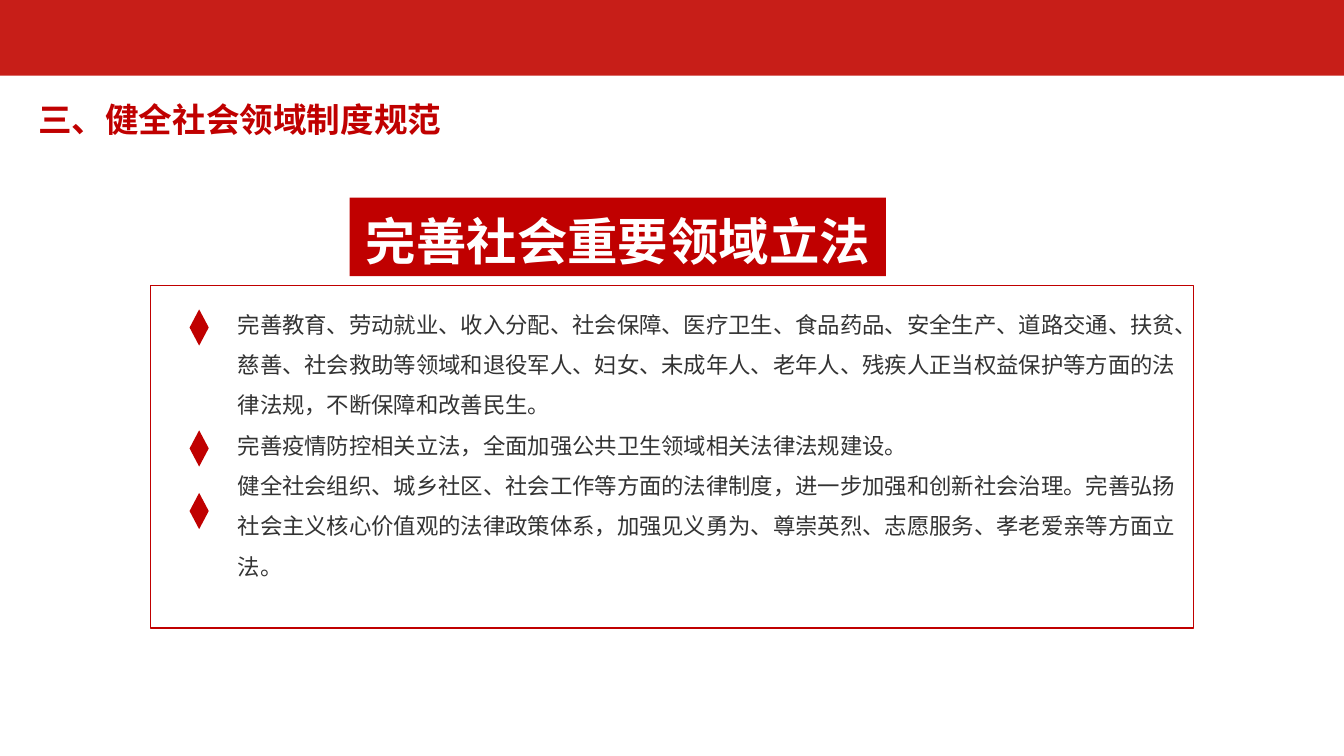
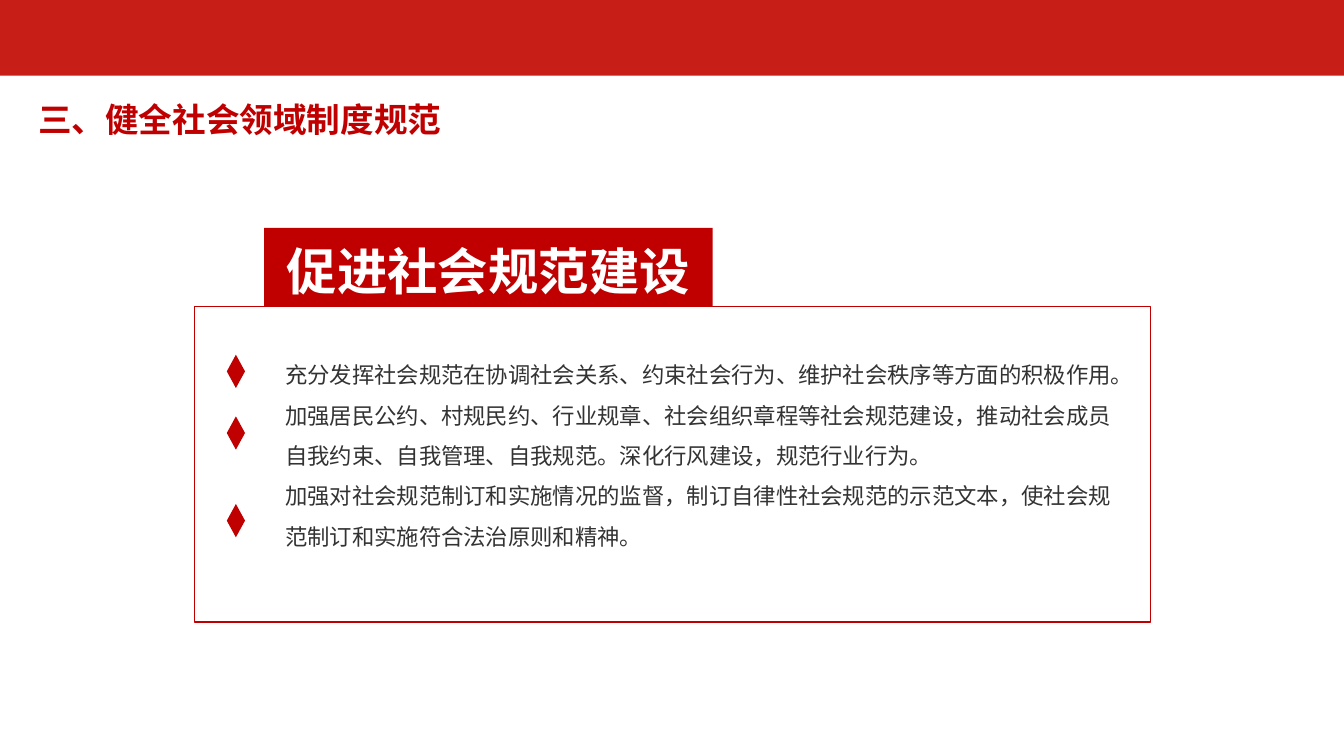
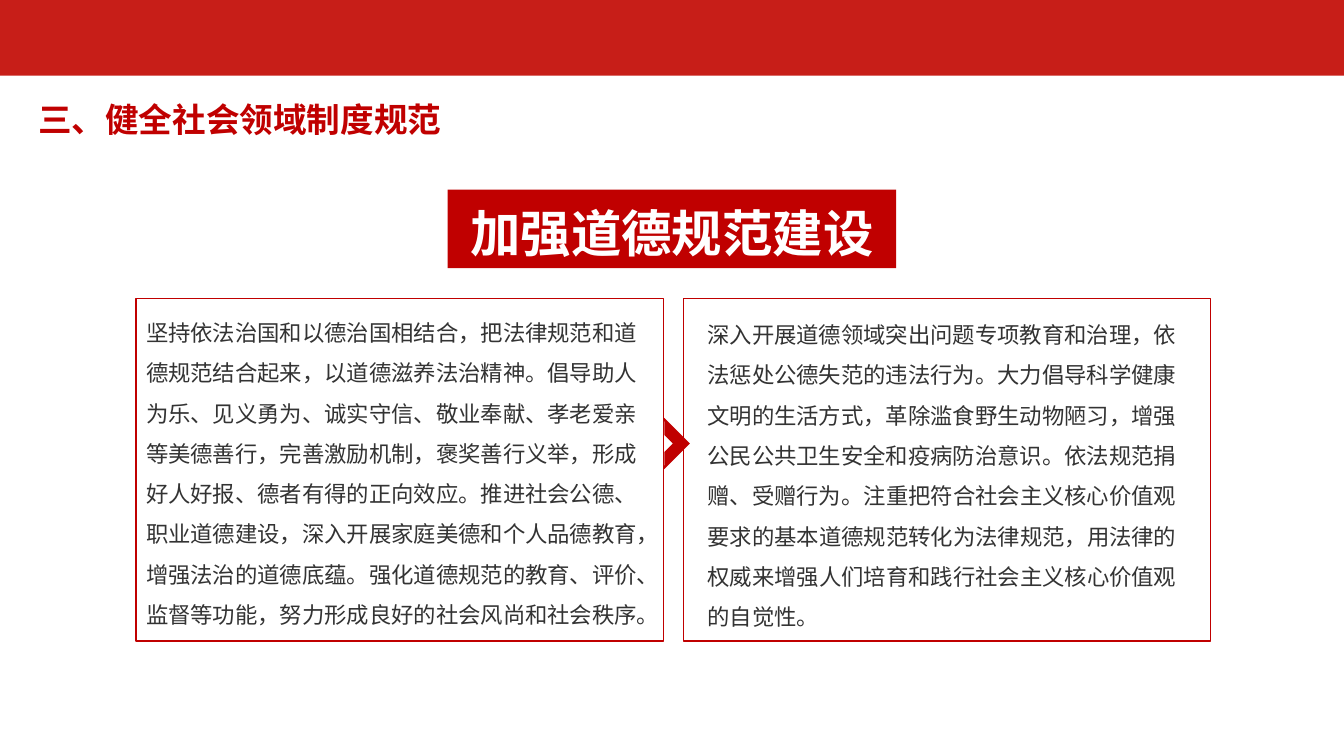
import pptx
import pptx.util
import pptx.dml.color
import pptx.enum.shapes
import pptx.enum.text
import pptx.oxml.ns
import lxml.etree

Pt = pptx.util.Pt
SHAPES = pptx.enum.shapes.MSO_SHAPE
ALIGN = pptx.enum.text.PP_ALIGN
ANCHOR = pptx.enum.text.MSO_ANCHOR
FONT = "Noto Sans CJK SC"
COLORS = {"band": "C71E18", "accent": "C00000", "text": "333333", "white": "FFFFFF"}
SECTION = "三、健全社会领域制度规范"
BANNER_HEIGHT = 56.2

# Positions are (left, top, width, height) in points
slides = [
    {
        "banner": ("完善社会重要领域立法", 249.8, 141.1, 383),
        "frames": [(107.3, 203.8, 745.2, 244.8)],
        "diamonds": (135.4, 13.7, 25.9, [221, 307.4, 352.1]),
        "bodies": [((162.7, 209, 690.5, 230), [
            "完善教育、劳动就业、收入分配、社会保障、医疗卫生、食品药品、安全生产、道路交通、扶贫、慈善、社会救助等领域和退役军人、妇女、未成年人、老年人、残疾人正当权益保护等方面的法律法规，不断保障和改善民生。",
            "完善疫情防控相关立法，全面加强公共卫生领域相关法律法规建设。",
            "健全社会组织、城乡社区、社会工作等方面的法律制度，进一步加强和创新社会治理。完善弘扬社会主义核心价值观的法律政策体系，加强见义勇为、尊崇英烈、志愿服务、孝老爱亲等方面立法。",
        ])],
    },
    {
        "banner": ("促进社会规范建设", 188.6, 162.7, 320.4),
        "frames": [(139, 218.9, 682.6, 225.4)],
        "diamonds": (162, 13, 23.8, [253.4, 297.4, 360]),
        "bodies": [((196.6, 245, 619.2, 190), [
            "充分发挥社会规范在协调社会关系、约束社会行为、维护社会秩序等方面的积极作用。",
            "加强居民公约、村规民约、行业规章、社会组织章程等社会规范建设，推动社会成员自我约束、自我管理、自我规范。深化行风建设，规范行业行为。",
            "加强对社会规范制订和实施情况的监督，制订自律性社会规范的示范文本，使社会规范制订和实施符合法治原则和精神。",
        ])],
    },
    {
        "banner": ("加强道德规范建设", 319.7, 135.4, 320.4),
        "frames": [(97.2, 213.1, 376.6, 244.8), (488.2, 213.1, 376.6, 244.8)],
        "arrow": (461.5, 303.8, 25.9, 25.9),
        "bodies": [
            ((97.2, 214.7, 380.9, 240), [
                "坚持依法治国和以德治国相结合，把法律规范和道德规范结合起来，以道德滋养法治精神。倡导助人为乐、见义勇为、诚实守信、敬业奉献、孝老爱亲等美德善行，完善激励机制，褒奖善行义举，形成好人好报、德者有得的正向效应。推进社会公德、职业道德建设，深入开展家庭美德和个人品德教育，增强法治的道德底蕴。强化道德规范的教育、评价、监督等功能，努力形成良好的社会风尚和社会秩序。",
            ]),
            ((498.2, 216.2, 354.2, 240), [
                "深入开展道德领域突出问题专项教育和治理，依法惩处公德失范的违法行为。大力倡导科学健康文明的生活方式，革除滥食野生动物陋习，增强公民公共卫生安全和疫病防治意识。依法规范捐赠、受赠行为。注重把符合社会主义核心价值观要求的基本道德规范转化为法律规范，用法律的权威来增强人们培育和践行社会主义核心价值观的自觉性。",
            ]),
        ],
    },
]


def add_block(slide, kind, position, fill=None, line=None):
    shape = slide.shapes.add_shape(kind, *[Pt(value) for value in position])
    shape.shadow.inherit = False
    if fill:
        shape.fill.solid()
        shape.fill.fore_color.rgb = pptx.dml.color.RGBColor.from_string(COLORS[fill])
    else:
        shape.fill.background()
    if line:
        shape.line.color.rgb = pptx.dml.color.RGBColor.from_string(COLORS[line])
        shape.line.width = Pt(1)
    else:
        shape.line.fill.background()
    return shape


def write_text(shape, texts, size, color, spacing, bold=False, align=ALIGN.LEFT, wrap=True):
    frame = shape.text_frame
    frame.word_wrap = wrap
    for index, text in enumerate(texts):
        paragraph = frame.paragraphs[0] if index == 0 else frame.add_paragraph()
        paragraph.alignment = align
        paragraph.line_spacing = Pt(spacing)
        paragraph._p.get_or_add_pPr().set("hangingPunct", "1")
        run = paragraph.add_run()
        run.text = text
        run.font.size = Pt(size)
        run.font.bold = bold
        run.font.color.rgb = pptx.dml.color.RGBColor.from_string(COLORS[color])
        run.font.name = FONT
        # East Asian typeface follows the Latin one
        properties = run._r.get_or_add_rPr()
        properties.set("lang", "zh-CN")
        latin = properties.find(pptx.oxml.ns.qn("a:latin"))
        east_asian = lxml.etree.Element(pptx.oxml.ns.qn("a:ea"), typeface=FONT)
        latin.addnext(east_asian)


presentation = pptx.Presentation()
presentation.slide_width = Pt(960)
presentation.slide_height = Pt(540)

for content in slides:
    slide = presentation.slides.add_slide(presentation.slide_layouts[6])

    # Top band and section title
    add_block(slide, SHAPES.RECTANGLE, (0, 0, 960, 54), fill="band")
    title = slide.shapes.add_textbox(Pt(20.2), Pt(61.5), Pt(305.3), Pt(40.3))
    write_text(title, [SECTION], 24, "accent", 34.6, bold=True, wrap=False)

    # Body text
    for position, texts in content["bodies"]:
        body = slide.shapes.add_textbox(*[Pt(value) for value in position])
        write_text(body, texts, 16, "text", 28.8)

    # Banner heading
    heading, left, top, width = content["banner"]
    banner = add_block(slide, SHAPES.RECTANGLE, (left, top, width, BANNER_HEIGHT), fill="accent")
    banner.text_frame.vertical_anchor = ANCHOR.MIDDLE
    banner.text_frame.margin_top = Pt(5)
    banner.text_frame.margin_bottom = Pt(0)
    write_text(banner, [heading], 36, "white", 43.2, bold=True, align=ALIGN.CENTER, wrap=False)

    # Diamond markers
    if "diamonds" in content:
        left, width, height, tops = content["diamonds"]
        for top in tops:
            add_block(slide, SHAPES.DIAMOND, (left, top, width, height), fill="accent")

    # Outlined frames
    for position in content["frames"]:
        add_block(slide, SHAPES.RECTANGLE, position, line="accent")

    # Arrow between the two frames
    if "arrow" in content:
        arrow = add_block(slide, SHAPES.HALF_FRAME, content["arrow"], fill="accent")
        arrow.rotation = 135

presentation.save("out.pptx")
